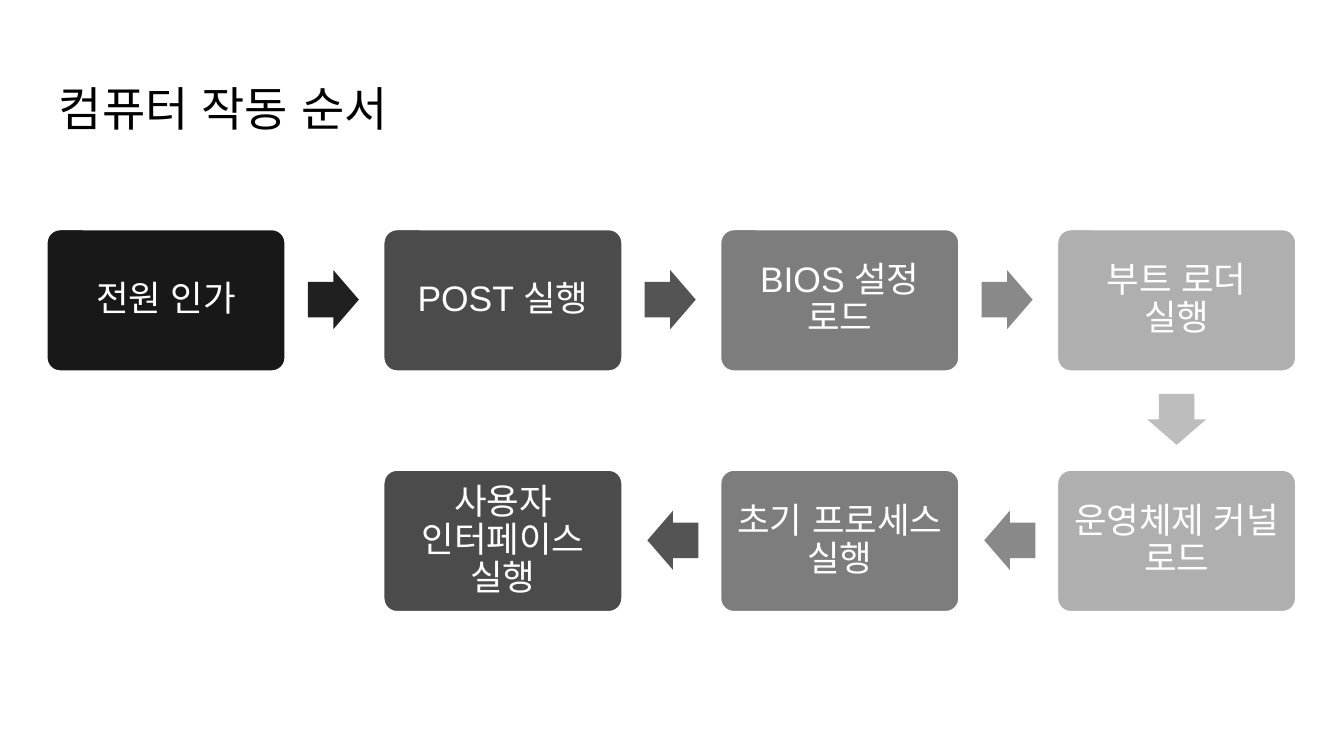
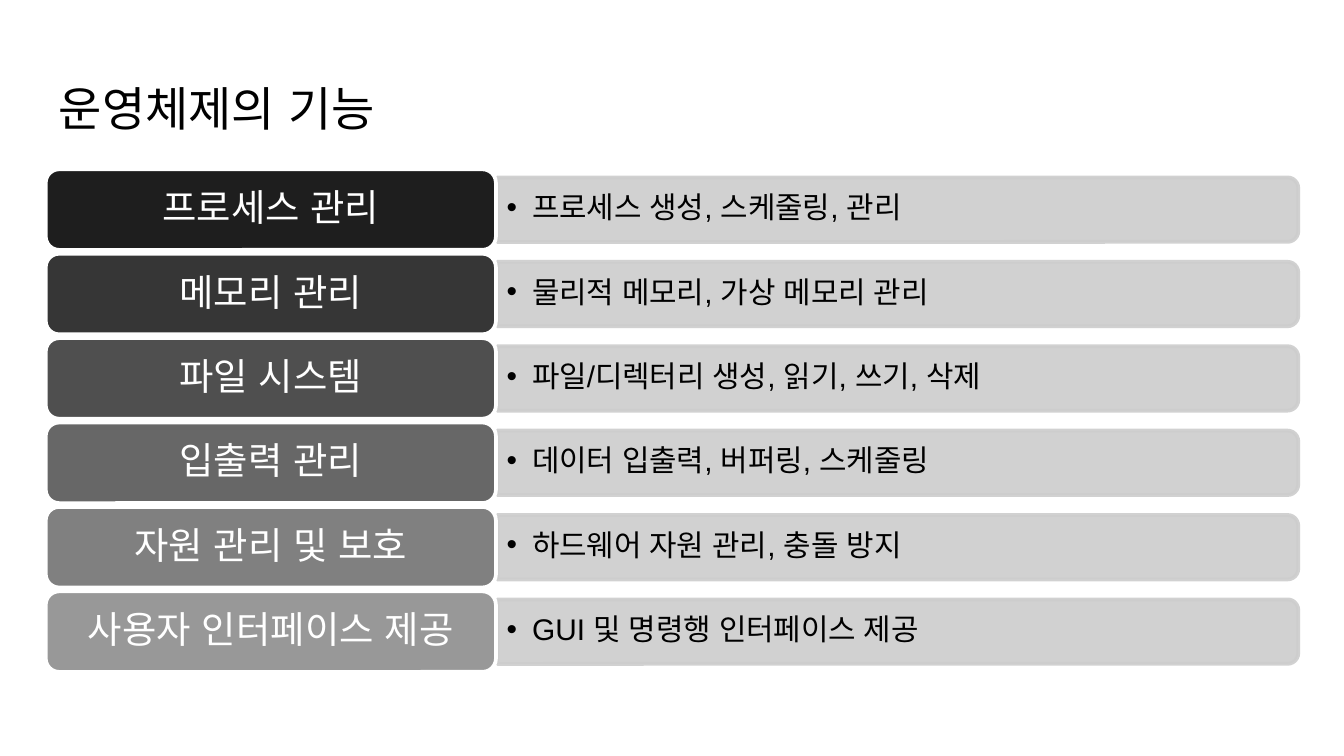
"""Build two slides: the boot sequence and the functions of an operating system."""
import pptx
import pptx.dml.color
import pptx.enum.shapes
import pptx.enum.text
import pptx.oxml.ns
import pptx.util
from lxml import etree

Inches = pptx.util.Inches
Pt = pptx.util.Pt
KIND = pptx.enum.shapes.MSO_SHAPE
ALIGN = pptx.enum.text.PP_ALIGN
MIDDLE = pptx.enum.text.MSO_ANCHOR.MIDDLE
qn = pptx.oxml.ns.qn

FONT = "Arial"
COLORS = {"ink": "000000", "paper": "FFFFFF", "bar": "CDCDCD"}
SHADES = ["181818", "4B4B4B", "7D7D7D", "AFAFAF"]
POINTS = ["202020", "545454", "898989", "BDBDBD"]
TITLES = ["컴퓨터 작동 순서", "운영체제의 기능"]

STEPS = [
    ("전원 인가", 0, 0),
    ("POST 실행", 1, 0),
    ("BIOS 설정 로드", 2, 0),
    ("부트 로더 실행", 3, 0),
    ("운영체제 커널 로드", 3, 1),
    ("초기 프로세스 실행", 2, 1),
    ("사용자 인터페이스 실행", 1, 1),
]
TASKS = [
    ("프로세스 관리", "프로세스 생성, 스케줄링, 관리", "1E1E1E"),
    ("메모리 관리", "물리적 메모리, 가상 메모리 관리", "363636"),
    ("파일 시스템", "파일/디렉터리 생성, 읽기, 쓰기, 삭제", "4F4F4F"),
    ("입출력 관리", "데이터 입출력, 버퍼링, 스케줄링", "676767"),
    ("자원 관리 및 보호", "하드웨어 자원 관리, 충돌 방지", "808080"),
    ("사용자 인터페이스 제공", "GUI 및 명령행 인터페이스 제공", "989898"),
]

WIDTH = Inches(10)
HEIGHT = WIDTH * 9 // 16
LEFT = 0.34
BOX_W, BOX_H = 1.79, 1.07
COL_GAP = 7.52 / 3
ROW_TOP, ROW_GAP = 1.7, 1.79
ARROW_W, ARROW_H = 0.38, 0.44
TAB_W, TAB_H = 3.35, 0.6
TAB_TOP, TAB_GAP = 1.26, 3.14 / 5
BAR_X, BAR_W, BAR_H = 3.7, 5.96, 0.48


def rgb(code):
    return pptx.dml.color.RGBColor.from_string(code)


def draw(slide, kind, at, fill, line=None):
    shape = slide.shapes.add_shape(kind, *map(Inches, at))
    shape.shadow.inherit = False
    shape.fill.solid()
    shape.fill.fore_color.rgb = rgb(fill)
    if line:
        shape.line.color.rgb = rgb(line)
        shape.line.width = Pt(2)
    else:
        shape.line.fill.background()
    return shape


def write(shape, text, size, color, side, edge):
    frame = shape.text_frame
    frame.word_wrap = True
    frame.margin_left = frame.margin_right = Inches(side)
    frame.margin_top = frame.margin_bottom = Inches(edge)
    frame.text = text
    par = frame.paragraphs[0]
    run = par.runs[0]
    font = run.font
    font.name, font.size, font.color.rgb = FONT, Pt(size), rgb(color)
    etree.SubElement(run._r.get_or_add_rPr(), qn("a:ea"), typeface=FONT)
    return par


def label(slide, at, text, size, fill, edge):
    shape = draw(slide, KIND.ROUNDED_RECTANGLE, at, fill, COLORS["paper"])
    par = write(shape, text, size, COLORS["paper"], 0.08, edge)
    par.alignment, par.line_spacing = ALIGN.CENTER, 0.9
    shape.text_frame.vertical_anchor = MIDDLE
    return shape


def bullet(par):
    props = par._p.get_or_add_pPr()
    props.set("marL", str(Inches(0.19)))
    props.set("indent", str(-Inches(0.19)))
    tint = etree.SubElement(props, qn("a:buClr"))
    etree.SubElement(tint, qn("a:srgbClr"), val=COLORS["ink"])
    etree.SubElement(props, qn("a:buFont"), typeface=FONT)
    etree.SubElement(props, qn("a:buChar"), char="•")


def start(deck, title):
    slide = deck.slides.add_slide(deck.slide_layouts[6])
    box = slide.shapes.add_textbox(*map(Inches, (LEFT, 0.49, 9.32, 0.63)))
    write(box, title, 25.2, COLORS["ink"], 0.1, 0.1)
    return slide


def arrow(slide, here, after):
    (col, row), (goal, level) = here, after
    gap = min(col, goal)
    x, y = LEFT + gap * COL_GAP, ROW_TOP + row * ROW_GAP
    if level > row:
        x, y, turn = x + (BOX_W - ARROW_W) / 2, y + 1.2, 90
    elif goal > col:
        x, y, turn = x + 1.95, y + 0.31, 0
    else:
        x, y, turn = x + 1.97, y + 0.31, 180
    shape = draw(slide, KIND.RIGHT_ARROW, (x, y, ARROW_W, ARROW_H), POINTS[gap])
    shape.adjustments[0], shape.adjustments[1] = 0.6, 0.5
    shape.rotation = turn


def flow(slide):
    for i, (text, col, row) in enumerate(STEPS):
        at = LEFT + col * COL_GAP, ROW_TOP + row * ROW_GAP, BOX_W, BOX_H
        label(slide, at, text, 19, SHADES[col], 0.08).adjustments[0] = 0.1
        if i + 1 < len(STEPS):
            arrow(slide, (col, row), STEPS[i + 1][1:])


def bar(slide, top, text):
    x, y = BAR_X + (BAR_W - BAR_H) / 2, top + (TAB_H - BAR_W) / 2
    shape = draw(slide, KIND.ROUND_2_SAME_RECTANGLE, (x, y, BAR_H, BAR_W),
                 COLORS["bar"], COLORS["bar"])
    shape.rotation = 90
    for tint in shape._element.spPr.iter(qn("a:srgbClr")):
        etree.SubElement(tint, qn("a:alpha"), val="90000")
    box = slide.shapes.add_textbox(*map(Inches, (BAR_X, top + 0.08, 5.94, 0.43)))
    par = write(box, text, 16, COLORS["ink"], 0.07, 0.03)
    bullet(par)
    par.level, par.line_spacing = 1, 0.9
    box.text_frame.vertical_anchor = MIDDLE


def tasks(slide):
    for i, (name, text, fill) in enumerate(TASKS):
        top = TAB_TOP + i * TAB_GAP
        bar(slide, top, text)
        label(slide, (LEFT, top, TAB_W, TAB_H), name, 20, fill, 0.04)


def main():
    deck = pptx.Presentation()
    deck.slide_width, deck.slide_height = WIDTH, HEIGHT
    for title, fill in zip(TITLES, (flow, tasks)):
        fill(start(deck, title))
    deck.save("out.pptx")


if __name__ == "__main__":
    main()
